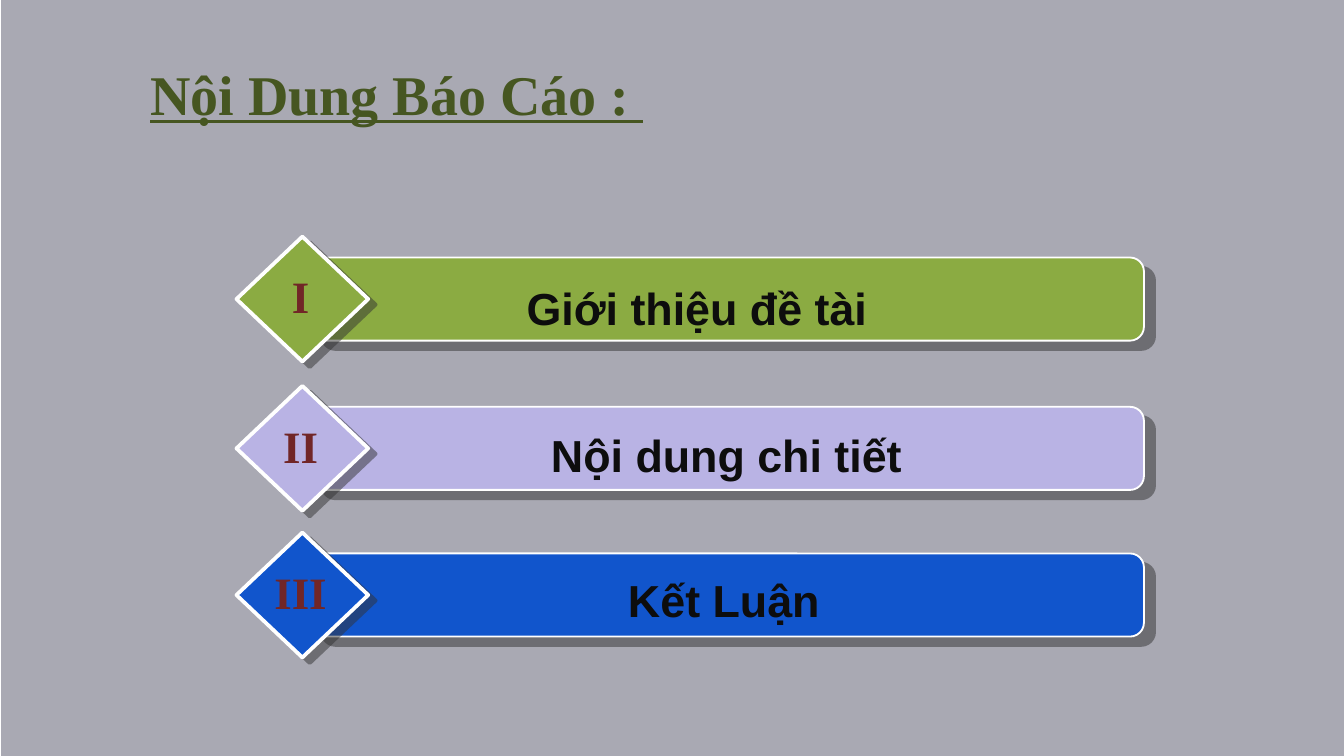
from lxml.etree import SubElement
from pptx import Presentation
from pptx.dml.color import RGBColor
from pptx.enum.shapes import MSO_SHAPE
from pptx.enum.text import MSO_ANCHOR, PP_ALIGN
from pptx.oxml.ns import qn
from pptx.util import Cm, Pt

WHITE = RGBColor(0xFF, 0xFF, 0xFF)
NAVY = RGBColor(0x16, 0x17, 0x32)
GREEN = RGBColor(0x8B, 0xAB, 0x42)
LILAC = RGBColor(0xB9, 0xB3, 0xE4)
BLUE = RGBColor(0x11, 0x55, 0xCC)
OLIVE = RGBColor(0x46, 0x56, 0x21)
MAROON = RGBColor(0x71, 0x26, 0x27)
INK = RGBColor(0x0D, 0x0D, 0x0D)
SHADOW = RGBColor(0x33, 0x33, 0x33)
SERIF, SANS = "Times New Roman", "Arial"

TITLE = "Nội Dung Báo Cáo : "
# numeral, its width; caption, its left and top; colour; top of the row (cm)
SECTIONS = [
    ("I", 0.71, "Giới thiệu đề tài", 6.96, 5.21, GREEN, 4.47),
    ("II", 1.04, "Nội dung chi tiết", 7.52, 7.98, LILAC, 7.29),
    ("III", 1.4, "Kết Luận", 7.47, 10.72, BLUE, 10.06),
]
SLIDE_W, SLIDE_H = 25.4, 14.28
DIAMOND_LEFT, DIAMOND_W, DIAMOND_H = 4.47, 2.49, 2.36
BAR_LEFT, BAR_W, BAR_H = 5.87, 15.75, 1.57
CAPTION_W, LINE_H = 12.42, 1.22
NUMERAL_CENTRE, NUMERAL_DROP = 5.68, 0.51


def add_panel(slide, kind, box, colour):
    panel = slide.shapes.add_shape(kind, *map(Cm, box))
    panel.shadow.inherit = False
    panel.fill.solid()
    panel.fill.fore_color.rgb = colour
    return panel


def set_alpha(colour_element, percent):
    SubElement(colour_element, qn("a:alpha"), val=str(percent * 1000))


def outline_and_cast(panel, line_width, distance, angle):
    """Give the panel a white outline and a hard, half-transparent shadow."""
    panel.line.color.rgb = WHITE
    panel.line.width = Pt(line_width)
    effects = panel.element.spPr.find(qn("a:effectLst"))
    cast = SubElement(effects, qn("a:outerShdw"), blurRad="0",
                      dist=str(Pt(distance)), dir=str(angle * 60000),
                      algn="ctr", rotWithShape="0")
    set_alpha(SubElement(cast, qn("a:srgbClr"), val=str(SHADOW)), 50)


def add_text(slide, box, text, size, font_name, colour):
    textbox = slide.shapes.add_textbox(*map(Cm, box))
    frame = textbox.text_frame
    frame.word_wrap = True
    paragraph = frame.paragraphs[0]
    paragraph.text = text
    font = paragraph.font
    font.name, font.size, font.bold = font_name, Pt(size), True
    font.color.rgb = colour
    return frame


def add_label(slide, box, text, font_name, colour, wrap=True):
    frame = add_text(slide, box, text, 24, font_name, colour)
    frame.word_wrap = wrap
    frame.margin_left = frame.margin_right = Cm(0.18)
    frame.margin_top = frame.margin_bottom = Cm(0.1)
    frame.paragraphs[0].alignment = PP_ALIGN.CENTER


def add_section(slide, numeral, numeral_w, caption, caption_left, caption_top,
                colour, top):
    bar_top = top + (DIAMOND_H - BAR_H) / 2
    bar = add_panel(slide, MSO_SHAPE.ROUNDED_RECTANGLE,
                    (BAR_LEFT, bar_top, BAR_W, BAR_H), colour)
    outline_and_cast(bar, 1, 7.8, 40)
    diamond = add_panel(slide, MSO_SHAPE.DIAMOND,
                        (DIAMOND_LEFT, top, DIAMOND_W, DIAMOND_H), colour)
    outline_and_cast(diamond, 2, 5, 37)
    add_label(slide, (caption_left, caption_top, CAPTION_W, LINE_H),
              caption, SANS, INK)
    add_label(slide, (NUMERAL_CENTRE - numeral_w / 2, top + NUMERAL_DROP,
                      numeral_w, LINE_H), numeral, SERIF, MAROON, wrap=False)


def main():
    deck = Presentation()
    deck.slide_width, deck.slide_height = Cm(SLIDE_W), Cm(SLIDE_H)
    slide = deck.slides.add_slide(deck.slide_layouts[6])

    tint = add_panel(slide, MSO_SHAPE.RECTANGLE,
                     (0.02, 0, SLIDE_W - 0.02, SLIDE_H), NAVY)
    tint.line.fill.background()
    set_alpha(tint.element.spPr.find(qn("a:solidFill"))[0], 37)

    for section in SECTIONS:
        add_section(slide, *section)

    title = add_text(slide, (2.59, 0.74, 10.13, 1.78), TITLE, 30, SERIF, OLIVE)
    title.vertical_anchor = MSO_ANCHOR.BOTTOM
    title.paragraphs[0].font.underline = True

    deck.save("out.pptx")


if __name__ == "__main__":
    main()
